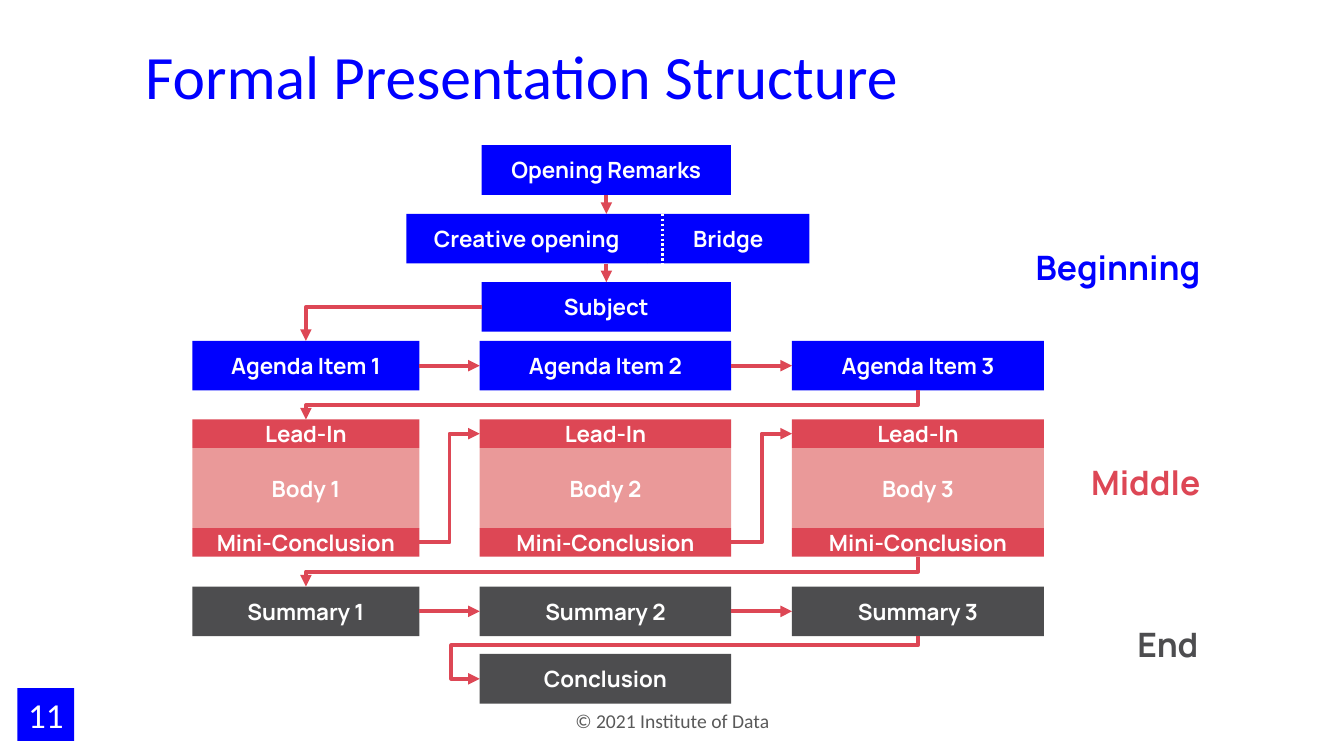
import dataclasses

import lxml.etree
import pptx
import pptx.dml.color
import pptx.enum.dml
import pptx.enum.shapes
import pptx.enum.text
import pptx.oxml.ns
import pptx.util

Cm = pptx.util.Cm
Align = pptx.enum.text.PP_ALIGN
Anchor = pptx.enum.text.MSO_ANCHOR
Point = tuple[float, float]

BLUE, RED, PINK, GREY, WHITE = "0000FF", "DD4755", "EA9999", "4D4D4F", "FFFFFF"
TALL, THIN = 1.25, 0.72


@dataclasses.dataclass(frozen=True)
class Column:
    left: float
    width: float

    @property
    def right(self) -> float:
        return self.left + self.width

    @property
    def center(self) -> float:
        return self.left + self.width / 2


@dataclasses.dataclass(frozen=True)
class Row:
    label: str
    top: float
    height: float
    fill: str

    @property
    def bottom(self) -> float:
        return self.top + self.height

    @property
    def middle(self) -> float:
        return self.top + self.height / 2


@dataclasses.dataclass(frozen=True)
class Box:
    text: str
    left: float
    top: float
    width: float
    height: float
    fill: str | None = None
    color: str = WHITE
    font: str = "Manrope"
    size: float = 16
    bold: bool = True
    align: Align = Align.CENTER
    anchor: Anchor = Anchor.MIDDLE
    side_inset: float = 0.25
    spacing: float = 1.0


@dataclasses.dataclass(frozen=True)
class Link:
    start: Point
    end: Point
    preset: str = "line"
    adjustments: tuple[int, ...] = ()
    vertical_first: bool = False
    color: str = RED
    weight: float = 2.75
    dotted: bool = False


def rgb(color: str) -> pptx.dml.color.RGBColor:
    return pptx.dml.color.RGBColor.from_string(color)


def apply(target: object, values: dict[str, object]) -> None:
    for name, value in values.items():
        setattr(target, name, value)


def draw_box(page: pptx.slide.Slide, box: Box) -> None:
    frame = [Cm(value) for value in (box.left, box.top, box.width, box.height)]
    if box.fill:
        shape = page.shapes.add_shape(pptx.enum.shapes.MSO_SHAPE.RECTANGLE, *frame)
        shape.shadow.inherit = False
        shape.fill.solid()
        shape.fill.fore_color.rgb = rgb(box.fill)
        shape.line.fill.background()
    else:
        shape = page.shapes.add_textbox(*frame)
    apply(shape.text_frame, {
        "word_wrap": True,
        "vertical_anchor": box.anchor,
        "margin_left": Cm(box.side_inset),
        "margin_right": Cm(box.side_inset),
        "margin_top": Cm(0.13),
        "margin_bottom": Cm(0.13),
    })
    para = shape.text_frame.paragraphs[0]
    apply(para, {"alignment": box.align, "line_spacing": box.spacing})
    span = para.add_run()
    span.text = box.text
    apply(span.font, {"name": box.font, "size": pptx.util.Pt(box.size), "bold": box.bold})
    span.font.color.rgb = rgb(box.color)


def draw_link(page: pptx.slide.Slide, link: Link) -> None:
    (x1, y1), (x2, y2) = link.start, link.end
    if link.vertical_first:
        middle_x, middle_y = (x1 + x2) / 2, (y1 + y2) / 2
        half_width, half_height = abs(y2 - y1) / 2, abs(x2 - x1) / 2
        x1, x2 = middle_x - half_width, middle_x + half_width
        y1, y2 = middle_y - half_height, middle_y + half_height
    connector = page.shapes.add_connector(
        pptx.enum.shapes.MSO_CONNECTOR.STRAIGHT, Cm(x1), Cm(y1), Cm(x2), Cm(y2))
    connector.line.color.rgb = rgb(link.color)
    connector.line.width = pptx.util.Pt(link.weight)
    qn = pptx.oxml.ns.qn
    properties = connector._element.spPr
    if link.vertical_first:
        properties.find(qn("a:xfrm")).set("rot", "5400000")
    geometry = properties.find(qn("a:prstGeom"))
    geometry.set("prst", link.preset)
    for number, value in enumerate(link.adjustments, 1):
        lxml.etree.SubElement(geometry.find(qn("a:avLst")), qn("a:gd"),
                              name=f"adj{number}", fmla=f"val {value}")
    if link.dotted:
        connector.line.dash_style = pptx.enum.dml.MSO_LINE.ROUND_DOT
    else:
        lxml.etree.SubElement(properties.find(qn("a:ln")), qn("a:tailEnd"), type="triangle")
    lxml.etree.SubElement(properties, qn("a:effectLst"))


FIRST, SECOND, THIRD = COLUMNS = (Column(4.85, 5.72), Column(12.09, 6.34), Column(19.96, 6.35))
AGENDA = Row("Agenda Item {}", 8.59, TALL, BLUE)
LEAD_IN = Row("Lead-In", 10.57, THIN, RED)
BODY = Row("Body {}", 11.29, 2.02, PINK)
MINI = Row("Mini-Conclusion", 13.31, THIN, RED)
SUMMARY = Row("Summary {}", 14.78, TALL, GREY)
ROWS = (AGENDA, LEAD_IN, BODY, MINI, SUMMARY)

OPENING = Box("Opening Remarks", 12.14, 3.66, 6.28, TALL, BLUE)
CREATIVE = Box("Creative opening", 10.24, 5.39, 6.07, TALL, BLUE)
BRIDGE = Box("Bridge", 16.31, 5.39, 4.09, TALL, BLUE)
SUBJECT = Box("Subject", 12.14, 7.11, 6.28, TALL, BLUE)
CONCLUSION = Box("Conclusion", SECOND.left, 16.48, SECOND.width, TALL, GREY)


def part(text: str, left: float, top: float, height: float, color: str) -> Box:
    return Box(text, left, top, 5.46, height, color=color, size=24,
               align=Align.RIGHT, spacing=0.9)


def boxes() -> list[Box]:
    cells = [
        Box(row.label.format(number), column.left, row.top, column.width, row.height, row.fill)
        for row in ROWS for number, column in enumerate(COLUMNS, 1)
    ]
    return [
        Box("© 2021 Institute of Data", 11.23, 17.65, 11.43, 1.02, color="595959",
            font="Calibri", size=14, bold=False),
        Box("11", 0.44, 17.34, 1.43, 1.33, BLUE, font="Calibri", size=25, bold=False,
            side_inset=0.13),
        Box("Formal Presentation Structure", 3.53, 1.04, 29.74, 2.82, color=BLUE,
            font="Calibri", size=44, bold=False, align=Align.LEFT, anchor=Anchor.TOP,
            side_inset=0.13, spacing=0.9),
        part("Beginning", 25.04, 3.76, 6.07, BLUE),
        part("Middle", 25.04, 10.54, 3.35, RED),
        part("End", 24.99, 14.88, 2.84, GREY),
        OPENING, CREATIVE, BRIDGE, SUBJECT, *cells, CONCLUSION,
    ]


def links() -> list[Link]:
    axis = OPENING.left + OPENING.width / 2
    found = [
        Link((16.69, BRIDGE.top), (16.69, BRIDGE.top + TALL), color=WHITE, weight=1.75,
             dotted=True),
        Link((SUBJECT.left, SUBJECT.top + TALL / 2), (FIRST.center, AGENDA.top),
             "bentConnector2"),
        Link((THIRD.center, SUMMARY.bottom), (CONCLUSION.left, CONCLUSION.top + TALL / 2),
             "bentConnector4", (21300, 106500), True),
    ]
    for upper, lower in ((OPENING, CREATIVE), (CREATIVE, SUBJECT)):
        found.append(Link((axis, upper.top + TALL), (axis, lower.top)))
    for upper, lower in ((AGENDA, LEAD_IN), (MINI, SUMMARY)):
        found.append(Link((THIRD.center, upper.bottom), (FIRST.center, lower.top),
                          "bentConnector3", (50000,), True))
    for column, following in zip(COLUMNS, COLUMNS[1:]):
        for row in (AGENDA, SUMMARY):
            found.append(Link((column.right, row.middle), (following.left, row.middle)))
        found.append(Link((column.right, MINI.middle), (following.left, LEAD_IN.middle),
                          "bentConnector3", (50000,)))
    return found


def main() -> None:
    deck = pptx.Presentation()
    apply(deck, {"slide_width": Cm(33.87), "slide_height": Cm(19.05)})
    page = deck.slides.add_slide(deck.slide_layouts[6])
    for box in boxes():
        draw_box(page, box)
    for link in links():
        draw_link(page, link)
    deck.save("out.pptx")


if __name__ == "__main__":
    main()
